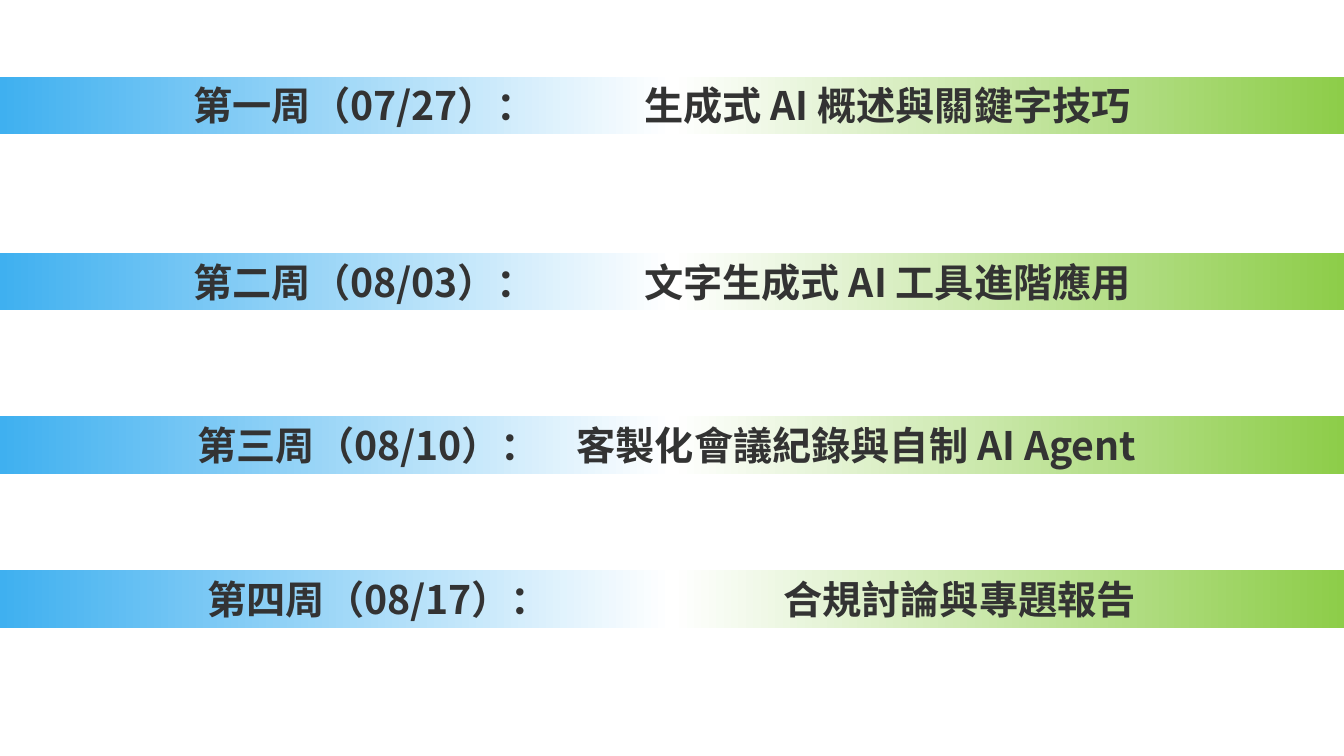
import copy
import pptx
import pptx.dml.color
import pptx.enum.shapes
import pptx.enum.text
import pptx.oxml
import pptx.oxml.ns
import pptx.util

Inches = pptx.util.Inches
WIDTH = 13.33


class Deck:
    hues = {"blue": "3FB0F0", "white": "FFFFFF", "green": "8DCD49", "ink": "333333"}
    font = "Noto Sans CJK SC"
    size = 28

    def __init__(self):
        self.show = pptx.Presentation()
        self.show.slide_width = Inches(WIDTH)
        self.show.slide_height = Inches(7.5)
        self.slide = self.show.slides.add_slide(self.show.slide_layouts[6])

    def hue(self, name):
        return pptx.dml.color.RGBColor.from_string(self.hues[name])

    def blend(self, shape, names):
        fill = shape.fill
        fill.gradient()
        fill.gradient_angle = 0
        stops = shape._element.spPr.find(".//" + pptx.oxml.ns.qn("a:gsLst"))
        stops.insert(1, copy.deepcopy(stops[0]))
        for i, (stop, name) in enumerate(zip(fill.gradient_stops, names)):
            stop.color.rgb = self.hue(name)
            stop.position = i / (len(names) - 1)

    def band(self, top, left, tab, week, topic):
        shape = self.slide.shapes.add_shape(
            pptx.enum.shapes.MSO_SHAPE.RECTANGLE,
            0, Inches(top), Inches(WIDTH), Inches(0.57))
        shape.shadow.inherit = False
        shape.line.fill.background()
        self.blend(shape, ["blue", "white", "green"])
        frame = shape.text_frame
        frame.word_wrap = True
        frame.vertical_anchor = pptx.enum.text.MSO_ANCHOR.MIDDLE
        frame.margin_left = Inches(left)
        frame.margin_right = frame.margin_top = frame.margin_bottom = 0
        para = frame.paragraphs[0]
        para.alignment = pptx.enum.text.PP_ALIGN.LEFT
        self.stop(para, tab - left)
        for text in (week, "\t", topic):
            self.run(para, text)

    def stop(self, para, place):
        tabs = pptx.oxml.parse_xml(
            f'<a:tabLst {pptx.oxml.ns.nsdecls("a")}>'
            f'<a:tab pos="{Inches(place)}" algn="l"/></a:tabLst>')
        para._p.get_or_add_pPr().append(tabs)

    def run(self, para, text):
        run = para.add_run()
        run.text = text
        font = run.font
        font.name = self.font
        font.size = pptx.util.Pt(self.size)
        font.bold = True
        font.color.rgb = self.hue("ink")
        props = run._r.get_or_add_rPr()
        props.append(pptx.oxml.parse_xml(
            f'<a:ea {pptx.oxml.ns.nsdecls("a")} typeface="{self.font}"/>'))


def main():
    deck = Deck()
    weeks = [
        (0.76, 1.92, 6.39, "第一周（07/27）：", "生成式 AI 概述與關鍵字技巧"),
        (2.51, 1.92, 6.39, "第二周（08/03）：", "文字生成式 AI 工具進階應用"),
        (4.13, 1.96, 5.72, "第三周（08/10）：", "客製化會議紀錄與自制 AI Agent"),
        (5.66, 2.06, 7.77, "第四周（08/17）：", "合規討論與專題報告"),
    ]
    for week in weeks:
        deck.band(*week)
    deck.show.save("out.pptx")


if __name__ == "__main__":
    main()
